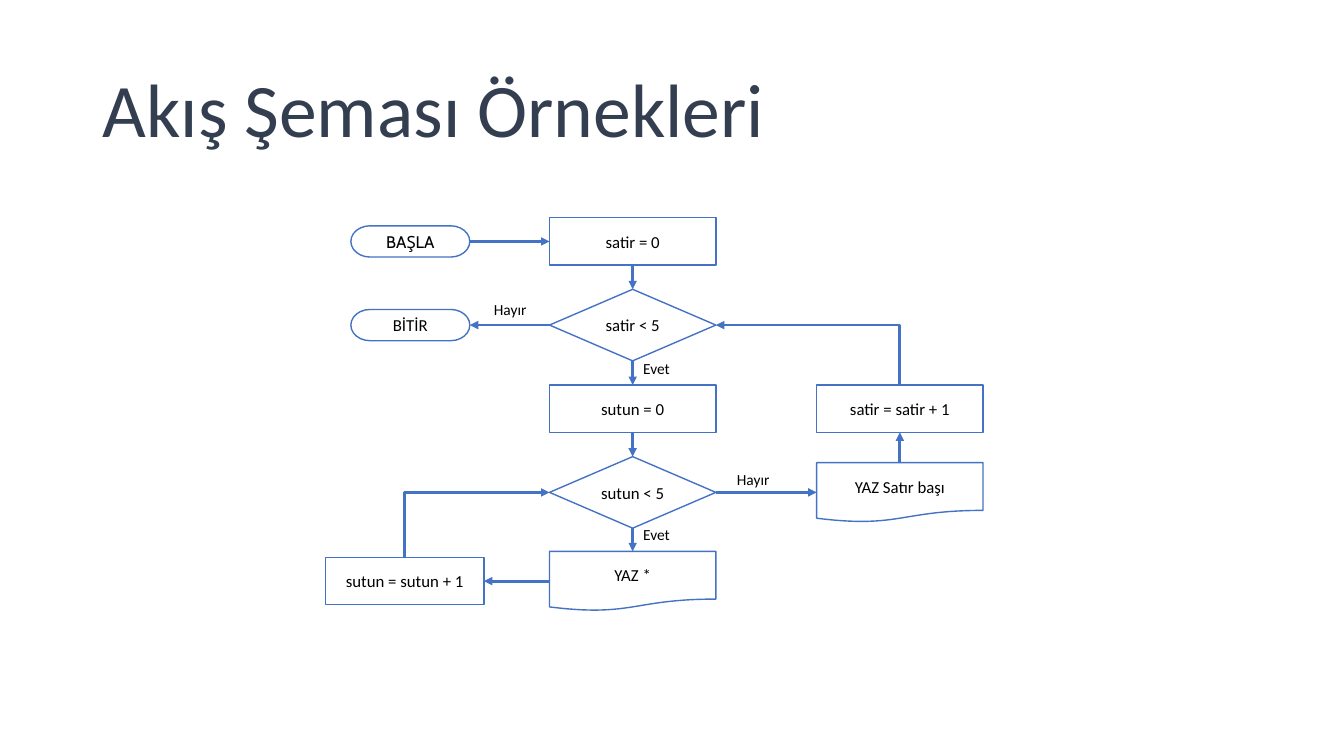
from dataclasses import dataclass

from lxml import etree
from pptx import Presentation
from pptx import util as u
from pptx.dml.color import RGBColor
from pptx.enum import shapes, text
from pptx.oxml import ns

BLACK = RGBColor(0x00, 0x00, 0x00)
WHITE = RGBColor(0xFF, 0xFF, 0xFF)
BLUE = RGBColor(0x44, 0x72, 0xC4)
SLATE = RGBColor(0x33, 0x3F, 0x50)

KIND = shapes.MSO_SHAPE
TOP, LEFT, BOTTOM, RIGHT = range(4)

MAIN_X, SIDE_X, TERMINAL_X = 5.45, 8.1, 3.48
STEP_WIDTH, TERMINAL_WIDTH = 1.65, 1.18
STEP_HEIGHT, TEST_HEIGHT, PRINT_HEIGHT, TERMINAL_HEIGHT = 0.47, 0.71, 0.59, 0.31


@dataclass(frozen=True)
class Node:
    name: str
    caption: str
    kind: shapes.MSO_SHAPE
    left: float
    top: float
    width: float
    height: float
    font: str = "Calibri"


@dataclass(frozen=True)
class Label:
    caption: str
    left: float
    top: float
    width: float
    height: float = 0.29
    size: float = 11
    color: RGBColor = BLACK
    wrap: bool = False
    anchor: text.MSO_ANCHOR = text.MSO_ANCHOR.TOP
    spacing: float = 1.0


@dataclass(frozen=True)
class Arrow:
    source: str
    source_side: int
    target: str
    target_side: int


TITLE = Label("Akış Şeması Örnekleri", 0.92, 0.4, 11.5, 1.45, 54, SLATE, True,
              text.MSO_ANCHOR.MIDDLE, 0.9)

NODES = [
    Node("start", "BAŞLA", KIND.FLOWCHART_TERMINATOR, TERMINAL_X, 2.24,
         TERMINAL_WIDTH, TERMINAL_HEIGHT, "Cabin"),
    Node("print star", "YAZ *", KIND.FLOWCHART_DOCUMENT, MAIN_X, 5.47,
         STEP_WIDTH, PRINT_HEIGHT),
    Node("finish", "BİTİR", KIND.FLOWCHART_TERMINATOR, TERMINAL_X, 3.07,
         TERMINAL_WIDTH, TERMINAL_HEIGHT),
    Node("reset row", "satir = 0", KIND.RECTANGLE, MAIN_X, 2.16,
         STEP_WIDTH, STEP_HEIGHT),
    Node("test row", "satir < 5", KIND.DIAMOND, MAIN_X, 2.87,
         STEP_WIDTH, TEST_HEIGHT),
    Node("reset column", "sutun = 0", KIND.RECTANGLE, MAIN_X, 3.82,
         STEP_WIDTH, STEP_HEIGHT),
    Node("test column", "sutun < 5", KIND.DIAMOND, MAIN_X, 4.53,
         STEP_WIDTH, TEST_HEIGHT),
    Node("next column", "sutun = sutun + 1", KIND.RECTANGLE, 3.23, 5.53,
         1.57, STEP_HEIGHT),
    Node("next row", "satir = satir + 1", KIND.FLOWCHART_PROCESS, SIDE_X, 3.82,
         STEP_WIDTH, STEP_HEIGHT),
    Node("print line", "YAZ Satır başı", KIND.FLOWCHART_DOCUMENT, SIDE_X, 4.59,
         STEP_WIDTH, PRINT_HEIGHT),
]

LABELS = [
    Label("Evet", 6.28, 3.51, 0.48),
    Label("Evet", 6.28, 5.16, 0.48),
    Label("Hayır", 4.8, 2.93, 0.53),
    Label("Hayır", 7.21, 4.61, 0.53),
]

ELBOWS = [
    Arrow("next row", TOP, "test row", RIGHT),
    Arrow("next column", TOP, "test column", LEFT),
]

ARROWS = [
    Arrow("start", RIGHT, "reset row", LEFT),
    Arrow("test row", LEFT, "finish", RIGHT),
    Arrow("reset row", BOTTOM, "test row", TOP),
    Arrow("test row", BOTTOM, "reset column", TOP),
    Arrow("reset column", BOTTOM, "test column", TOP),
    Arrow("test column", BOTTOM, "print star", TOP),
    Arrow("print star", LEFT, "next column", RIGHT),
    Arrow("test column", RIGHT, "print line", LEFT),
    Arrow("print line", TOP, "next row", BOTTOM),
]


def apply_format(target, values: dict) -> None:
    for name, value in values.items():
        setattr(target, name, value)


def write(para, caption: str, font: str, size: float, color: RGBColor) -> None:
    span = para.add_run()
    span.text = caption
    apply_format(span.font, {"name": font, "size": u.Pt(size)})
    span.font.color.rgb = color


def draw_label(page, label: Label) -> None:
    box = page.shapes.add_textbox(*map(u.Inches, (label.left, label.top,
                                                  label.width, label.height)))
    apply_format(box.text_frame, {"word_wrap": label.wrap,
                                  "vertical_anchor": label.anchor})
    para = box.text_frame.paragraphs[0]
    para.line_spacing = label.spacing
    write(para, label.caption, "Calibri", label.size, label.color)


def draw_node(page, node: Node):
    box = page.shapes.add_shape(node.kind, *map(u.Inches, (
        node.left, node.top, node.width, node.height)))
    box.shadow.inherit = False
    box.fill.solid()
    box.fill.fore_color.rgb = WHITE
    box.line.color.rgb = BLUE
    box.line.width = u.Pt(1)
    apply_format(box.text_frame, {"word_wrap": True,
                                  "vertical_anchor": text.MSO_ANCHOR.MIDDLE})
    para = box.text_frame.paragraphs[0]
    para.alignment = text.PP_ALIGN.CENTER
    write(para, node.caption, node.font, 12, BLACK)
    return box


def style_arrow(connector) -> None:
    connector.line.color.rgb = BLUE
    connector.line.width = u.Pt(2)
    properties = connector._element.spPr
    line = properties.find(ns.qn("a:ln"))
    etree.SubElement(line, ns.qn("a:tailEnd"), type="triangle")
    etree.SubElement(properties, ns.qn("a:effectLst"))


def draw_arrow(page, arrow: Arrow, boxes: dict) -> None:
    connector = page.shapes.add_connector(shapes.MSO_CONNECTOR.STRAIGHT, 0, 0, 0, 0)
    connector.begin_connect(boxes[arrow.source], arrow.source_side)
    connector.end_connect(boxes[arrow.target], arrow.target_side)
    style_arrow(connector)


def side_middle(box, side: int) -> tuple[int, int]:
    across = {LEFT: 0, RIGHT: box.width}.get(side, box.width // 2)
    down = {TOP: 0, BOTTOM: box.height}.get(side, box.height // 2)
    return box.left + across, box.top + down


def draw_elbow(page, arrow: Arrow, boxes: dict) -> None:
    start_x, start_y = side_middle(boxes[arrow.source], arrow.source_side)
    end_x, end_y = side_middle(boxes[arrow.target], arrow.target_side)
    center_x, center_y = (start_x + end_x) // 2, (start_y + end_y) // 2
    half_run, half_rise = (end_x - start_x) // 2, (start_y - end_y) // 2
    connector = page.shapes.add_connector(
        shapes.MSO_CONNECTOR.ELBOW,
        center_x - half_rise, center_y - half_run,
        center_x + half_rise, center_y + half_run)
    properties = connector._element.spPr
    properties.find(ns.qn("a:xfrm")).set("rot", str(270 * 60000))
    properties.find(ns.qn("a:prstGeom")).set("prst", "bentConnector2")
    style_arrow(connector)


def main() -> None:
    deck = Presentation()
    apply_format(deck, {"slide_width": u.Inches(13.33), "slide_height": u.Inches(7.5)})
    page = deck.slides.add_slide(deck.slide_layouts[6])
    draw_label(page, TITLE)
    boxes = {node.name: draw_node(page, node) for node in NODES}
    for label in LABELS:
        draw_label(page, label)
    for elbow in ELBOWS:
        draw_elbow(page, elbow, boxes)
    for arrow in ARROWS:
        draw_arrow(page, arrow, boxes)
    deck.save("out.pptx")


if __name__ == "__main__":
    main()
